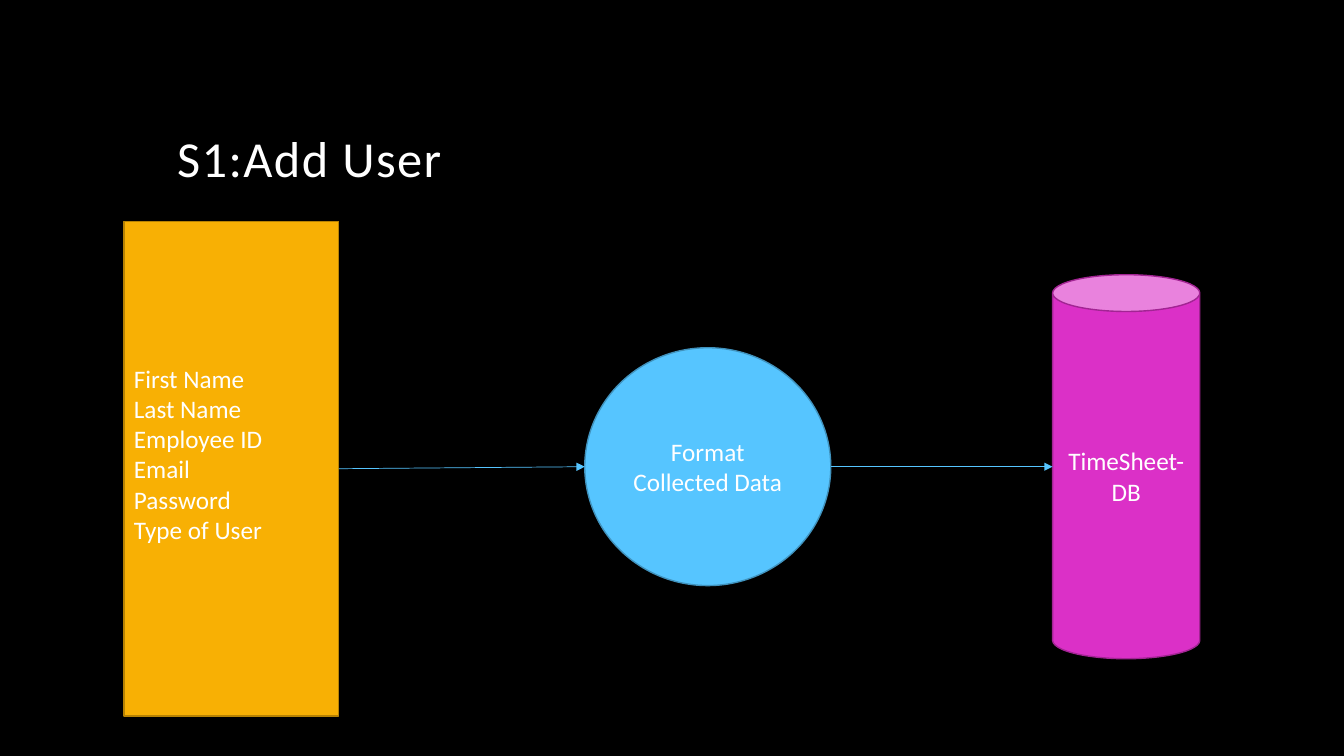
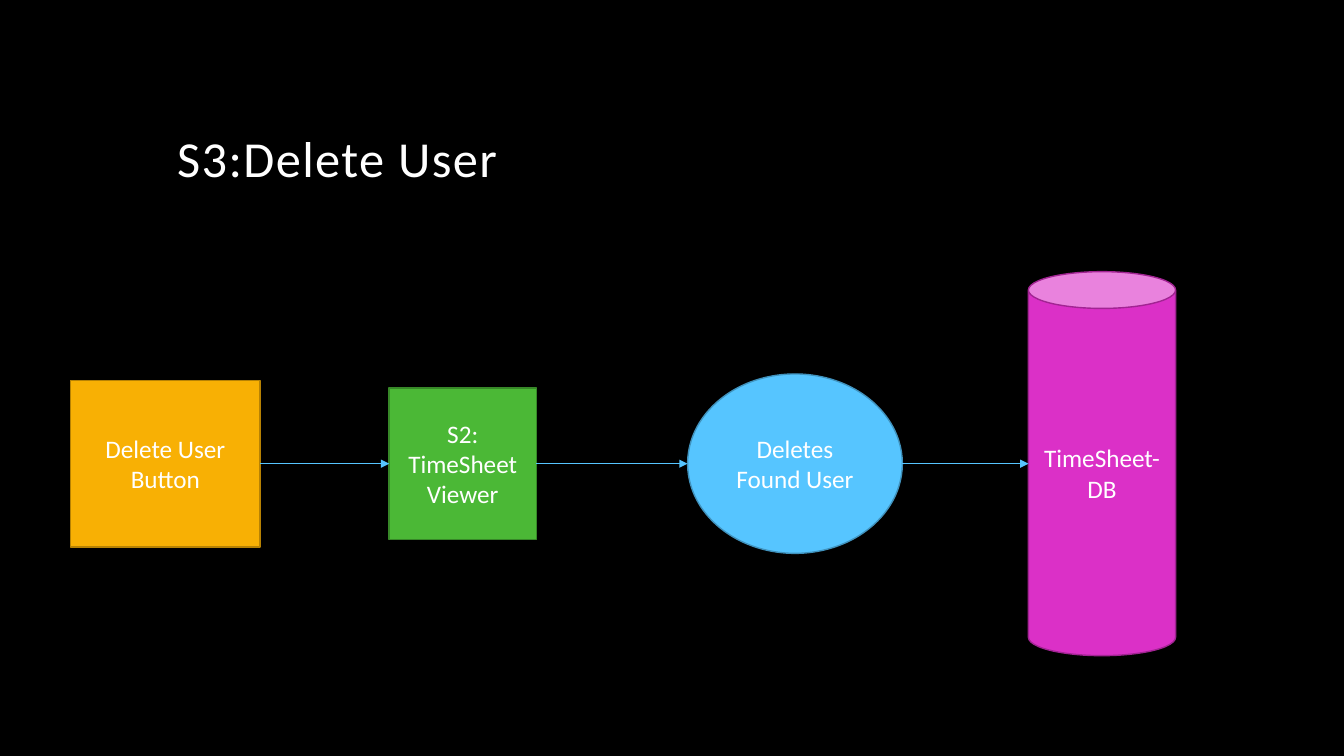
from dataclasses import dataclass
from itertools import pairwise

import pptx
import pptx.dml.color
import pptx.enum.shapes
import pptx.enum.text
import pptx.oxml.ns
import pptx.shapes.autoshape
import pptx.slide
import pptx.util
from lxml import etree

Kind = pptx.enum.shapes.MSO_SHAPE
Align = pptx.enum.text.PP_ALIGN
Anchor = pptx.enum.text.MSO_ANCHOR

EMU_PER_PX = 9144  # 100 px to the inch


@dataclass(frozen=True)
class Paint:
    fill: str
    outline: str


@dataclass(frozen=True)
class Theme:
    background: str = "000000"
    text: str = "FFFFFF"
    arrow: str = "56C5FF"
    font: str = "Calibri"
    title_size: int = 36
    body_size: int = 18
    outline_width: float = 1
    arrow_width: float = 0.5
    source: Paint = Paint("F8B004", "B78203")
    screen: Paint = Paint("4BB836", "378828")
    process: Paint = Paint("56C5FF", "4092BD")
    store: Paint = Paint("DB30C7", "A22493")


THEME = Theme()


@dataclass(frozen=True)
class Node:
    """A step of a flow, centred on the flow's axis (plus drop)."""
    text: str
    kind: Kind
    paint: Paint
    left: int
    width: int
    height: int
    drop: int = 0
    align: Align = Align.CENTER
    bottom_inset: int = 5


@dataclass(frozen=True)
class Flow:
    title: str
    axis: int
    nodes: tuple[Node, ...]


def database(left: int) -> Node:
    return Node("TimeSheet-DB", Kind.CAN, THEME.store, left, 146, 381)


USER_FIELDS = ("First Name", "Last Name", "Employee ID", "Email", "Password", "Type of User")

FLOWS = (
    Flow("S1:Add User", 463, (
        Node("\n".join(USER_FIELDS), Kind.RECTANGLE, THEME.source, 123, 213, 491,
             drop=2, align=Align.LEFT, bottom_inset=35),
        Node("Format Collected Data", Kind.OVAL, THEME.process, 580, 244, 236),
        database(1044),
    )),
    Flow("S3:Delete User", 460, (
        Node("Delete User Button", Kind.RECTANGLE, THEME.source, 70, 188, 165),
        Node("S2: TimeSheet Viewer", Kind.RECTANGLE, THEME.screen, 386, 146, 150),
        Node("Deletes Found User", Kind.OVAL, THEME.process, 682, 213, 178),
        database(1020),
    )),
)


def px(length: int) -> pptx.util.Emu:
    return pptx.util.Emu(length * EMU_PER_PX)


def rgb(value: str) -> pptx.dml.color.RGBColor:
    return pptx.dml.color.RGBColor.from_string(value)


def write(text_frame, text: str, size: int, align: Align, anchor: Anchor,
          spacing: int = 0, line_spacing: float = 1.0) -> None:
    text_frame.text = text
    text_frame.word_wrap = True
    text_frame.vertical_anchor = anchor
    for paragraph in text_frame.paragraphs:
        paragraph.alignment = align
        paragraph.line_spacing = line_spacing
        for run in paragraph.runs:
            run.font.name = THEME.font
            run.font.size = pptx.util.Pt(size)
            run.font.color.rgb = rgb(THEME.text)
            if spacing:
                run.font._element.set("spc", str(spacing))


def draw_title(slide: pptx.slide.Slide, text: str) -> None:
    box = slide.shapes.add_textbox(px(166), px(42), px(1000), px(150))
    write(box.text_frame, text, THEME.title_size, Align.LEFT, Anchor.BOTTOM,
          spacing=100, line_spacing=0.9)


def draw_node(slide: pptx.slide.Slide, node: Node, axis: int) -> pptx.shapes.autoshape.Shape:
    top = px(axis + node.drop) - px(node.height) // 2
    shape = slide.shapes.add_shape(node.kind, px(node.left), top, px(node.width), px(node.height))
    shape.shadow.inherit = False
    shape.fill.solid()
    shape.fill.fore_color.rgb = rgb(node.paint.fill)
    shape.line.color.rgb = rgb(node.paint.outline)
    shape.line.width = pptx.util.Pt(THEME.outline_width)
    shape.text_frame.margin_bottom = px(node.bottom_inset)
    write(shape.text_frame, node.text, THEME.body_size, node.align, Anchor.MIDDLE)
    return shape


def draw_arrow(slide: pptx.slide.Slide, start: pptx.shapes.autoshape.Shape,
               end: pptx.shapes.autoshape.Shape) -> None:
    connector = slide.shapes.add_connector(
        pptx.enum.shapes.MSO_CONNECTOR.STRAIGHT,
        start.left + start.width, start.top + start.height // 2,
        end.left, end.top + end.height // 2)
    # Only rectangles have their side middles at sites 1 and 3
    if start.auto_shape_type == Kind.RECTANGLE:
        connector.begin_connect(start, 3)
    if end.auto_shape_type == Kind.RECTANGLE:
        connector.end_connect(end, 1)
    connector.line.color.rgb = rgb(THEME.arrow)
    connector.line.width = pptx.util.Pt(THEME.arrow_width)
    # Arrowhead, and no shadow
    qn = pptx.oxml.ns.qn
    etree.SubElement(connector.line._get_or_add_ln(), qn("a:tailEnd"), type="triangle")
    etree.SubElement(connector._element.spPr, qn("a:effectLst"))


def draw_flow(presentation, flow: Flow) -> None:
    slide = presentation.slides.add_slide(presentation.slide_layouts[6])
    slide.background.fill.solid()
    slide.background.fill.fore_color.rgb = rgb(THEME.background)
    draw_title(slide, flow.title)
    shapes = [draw_node(slide, node, flow.axis) for node in flow.nodes]
    for start, end in pairwise(shapes):
        draw_arrow(slide, start, end)


def main() -> None:
    presentation = pptx.Presentation()
    presentation.slide_width = px(1333)
    presentation.slide_height = px(750)
    for flow in FLOWS:
        draw_flow(presentation, flow)
    presentation.save("out.pptx")


if __name__ == "__main__":
    main()
